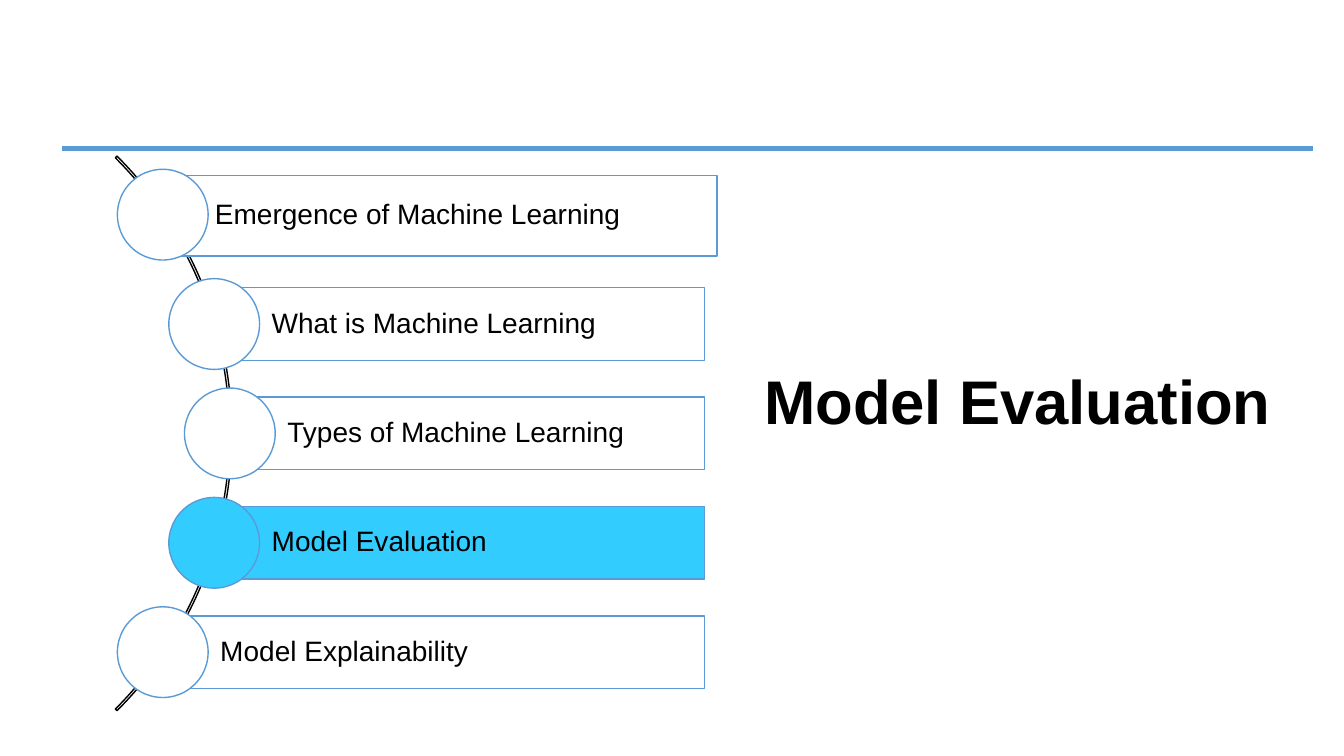
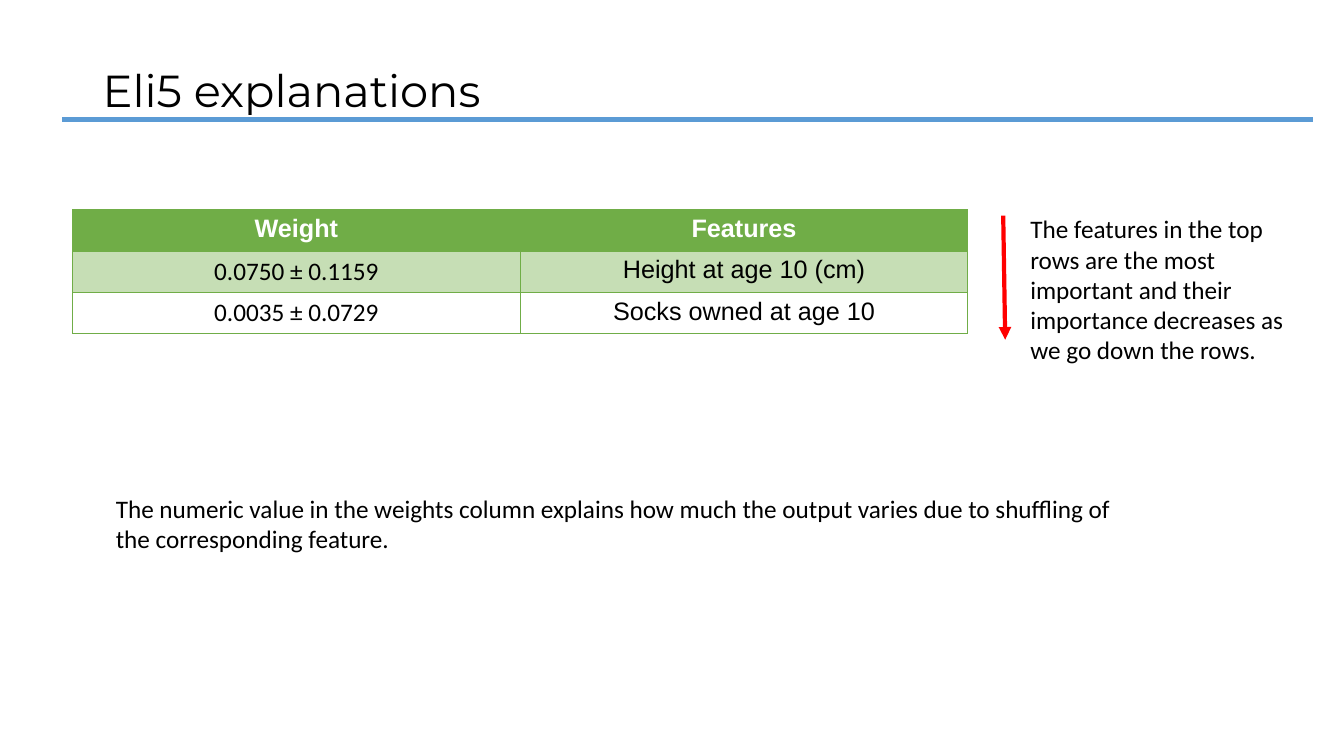
import math
from dataclasses import dataclass

from lxml import etree
from pptx import Presentation, util as u
from pptx.dml.color import RGBColor
from pptx.enum import shapes, text
from pptx.oxml.ns import qn

PX = 9144


@dataclass(frozen=True)
class Theme:
    ink: str = "000000"
    paper: str = "FFFFFF"
    blue: str = "5B9BD5"
    active: str = "33CCFF"
    green: str = "70AD47"
    pale_green: str = "C6DEB5"
    red: str = "FF0000"
    sans: str = "Arial"
    body_font: str = "Calibri"
    title_font: str = "Montserrat"
    hero_size: int = 44
    title_size: int = 32
    agenda_size: int = 20
    body_size: int = 18
    thin: float = 1
    border: float = 0.75
    arrow: float = 3


THEME = Theme()


def px(*lengths):
    return [u.Emu(round(length * PX)) for length in lengths]


def rgb(colour):
    return RGBColor.from_string(colour)


def write(frame, wording, size, font, colour=THEME.ink, bold=False,
          align=text.PP_ALIGN.LEFT, spacing=None):
    frame.text = wording
    para = frame.paragraphs[0]
    para.alignment = align
    if spacing:
        para.line_spacing = spacing
    for span in para.runs:
        span.font.size = u.Pt(size)
        span.font.name = font
        span.font.bold = bold
        span.font.color.rgb = rgb(colour)


def add_text(page, box, wording, size, font, anchor=text.MSO_ANCHOR.TOP, **style):
    frame = page.shapes.add_textbox(*px(*box)).text_frame
    frame.word_wrap = True
    frame.vertical_anchor = anchor
    write(frame, wording, size, font, **style)


def add_outlined(page, kind, box, fill, line):
    shape = page.shapes.add_shape(kind, *px(*box))
    shape.shadow.inherit = False
    if fill:
        shape.fill.solid()
        shape.fill.fore_color.rgb = rgb(fill)
    else:
        shape.fill.background()
    shape.line.color.rgb = rgb(line)
    shape.line.width = u.Pt(THEME.thin)
    return shape


def add_band(page, top):
    add_outlined(page, shapes.MSO_SHAPE.RECTANGLE, (61, top, 1242, 7),
                 THEME.blue, THEME.paper)


def add_title(page, box, wording):
    add_text(page, box, wording, THEME.title_size, THEME.title_font,
             anchor=text.MSO_ANCHOR.MIDDLE, spacing=0.9)


def add_agenda_item(page, box, centre, wording, fill):
    bar = add_outlined(page, shapes.MSO_SHAPE.RECTANGLE, box, fill, THEME.blue)
    frame = bar.text_frame
    frame.word_wrap = True
    frame.vertical_anchor = text.MSO_ANCHOR.MIDDLE
    frame.margin_left, frame.margin_top, frame.margin_right, frame.margin_bottom = px(57, 6, 6, 6)
    write(frame, wording, THEME.agenda_size, THEME.sans, spacing=0.9)
    diameter = 90
    x, y = centre
    add_outlined(page, shapes.MSO_SHAPE.OVAL,
                 (x - diameter / 2, y - diameter / 2, diameter, diameter),
                 fill, THEME.blue)


def add_agenda(page, arc_box, items, active):
    left, top, size, _ = arc_box
    arc = add_outlined(page, shapes.MSO_SHAPE.BLOCK_ARC, arc_box, None, THEME.ink)
    for index, value in enumerate((189, 27, 0.003)):
        arc.adjustments[index] = value
    middle_x, middle_y = left + size / 2, top + size / 2
    radius, pitch, bar_height, bar_right = size / 2 - 2, 108.5, 72, 699
    for index, wording in enumerate(items):
        offset = (index - (len(items) - 1) / 2) * pitch
        x = middle_x + math.sqrt(radius ** 2 - offset ** 2)
        y = middle_y + 8 + offset - 8
        bar = (x, y - bar_height / 2, bar_right - x, bar_height)
        if index == 0:
            bar = (x - 13, y - 39, bar_right - x + 25, 80)
        fill = THEME.active if index == active else THEME.paper
        add_agenda_item(page, bar, (x, y), wording, fill)


def set_borders(cell, colour):
    props = cell._tc.get_or_add_tcPr()
    for position, edge in enumerate(("a:lnL", "a:lnR", "a:lnT", "a:lnB")):
        line = etree.Element(qn(edge), w=str(u.Pt(THEME.border)))
        fill = etree.SubElement(line, qn("a:solidFill"))
        etree.SubElement(fill, qn("a:srgbClr"), val=colour)
        props.insert(position, line)


def add_weights(page, box, rows):
    frame = page.shapes.add_table(len(rows), len(rows[0]), *px(*box))
    table = frame.table
    table.horz_banding = False
    row_fills = (THEME.green, THEME.pale_green, None)
    for r, (values, fill) in enumerate(zip(rows, row_fills)):
        header = r == 0
        for c, value in enumerate(values):
            cell = table.cell(r, c)
            if fill:
                cell.fill.solid()
                cell.fill.fore_color.rgb = rgb(fill)
            else:
                cell.fill.background()
            set_borders(cell, THEME.green)
            numeric = c == 0 and not header
            write(cell.text_frame, value, THEME.body_size,
                  THEME.body_font if numeric else THEME.sans,
                  colour=THEME.paper if header else THEME.ink,
                  bold=header, align=text.PP_ALIGN.CENTER)


def add_arrow(page, start, end):
    arrow = page.shapes.add_connector(shapes.MSO_CONNECTOR.STRAIGHT, *px(*start, *end))
    arrow.line.color.rgb = rgb(THEME.red)
    arrow.line.width = u.Pt(THEME.arrow)
    etree.SubElement(arrow.line._get_or_add_ln(), qn("a:tailEnd"), type="triangle")
    etree.SubElement(arrow._element.spPr, qn("a:effectLst"))


def add_ranking_note(page, box, wording):
    left, top, _, _ = box
    add_arrow(page, (left - 17, top + 7), (left - 15, top + 130))
    add_text(page, box, wording, THEME.body_size, THEME.body_font)


def build_section_page(page):
    add_band(page, 144)
    add_agenda(page, (-548, 41, 778, 778), (
        " Emergence of Machine Learning",
        "What is Machine Learning",
        "Types of Machine Learning",
        "Model Evaluation",
        "Model Explainability",
    ), active=3)
    add_text(page, (686, 355, 647, 84), "Model Evaluation", THEME.hero_size,
             THEME.sans, bold=True, align=text.PP_ALIGN.CENTER)


def build_explanation_page(page):
    add_title(page, (92, 20, 1150, 145), "Eli5 explanations")
    add_band(page, 115)
    add_weights(page, (72, 208, 888, 123), (
        ("Weight", "Features"),
        ("0.0750 ± 0.1159", "Height at age 10 (cm)"),
        ("0.0035 ± 0.0729", "Socks owned at age 10"),
    ))
    add_text(page, (105, 484, 1017, 71),
             "The numeric value in the weights column explains how much the output "
             "varies due to shuffling of the corresponding feature.",
             THEME.body_size, THEME.body_font)
    add_ranking_note(page, (1012, 207, 291, 162),
                     "The features in the top rows are the most important and their "
                     "importance decreases as we go down the rows.")


def main():
    deck = Presentation()
    deck.slide_width, deck.slide_height = px(1333, 750)
    blank = deck.slide_layouts[6]
    for build in (build_section_page, build_explanation_page):
        build(deck.slides.add_slide(blank))
    deck.save("out.pptx")


if __name__ == "__main__":
    main()
